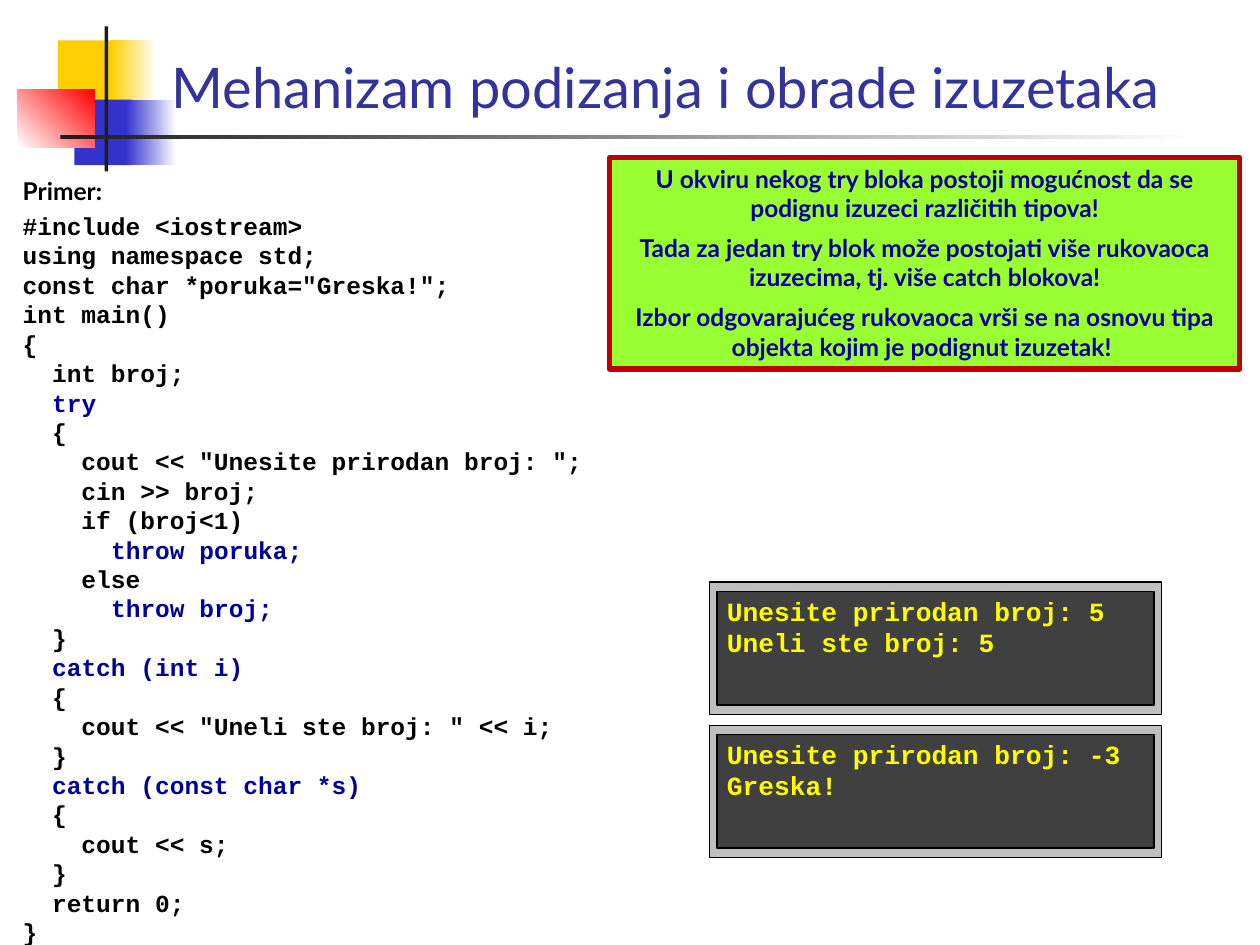
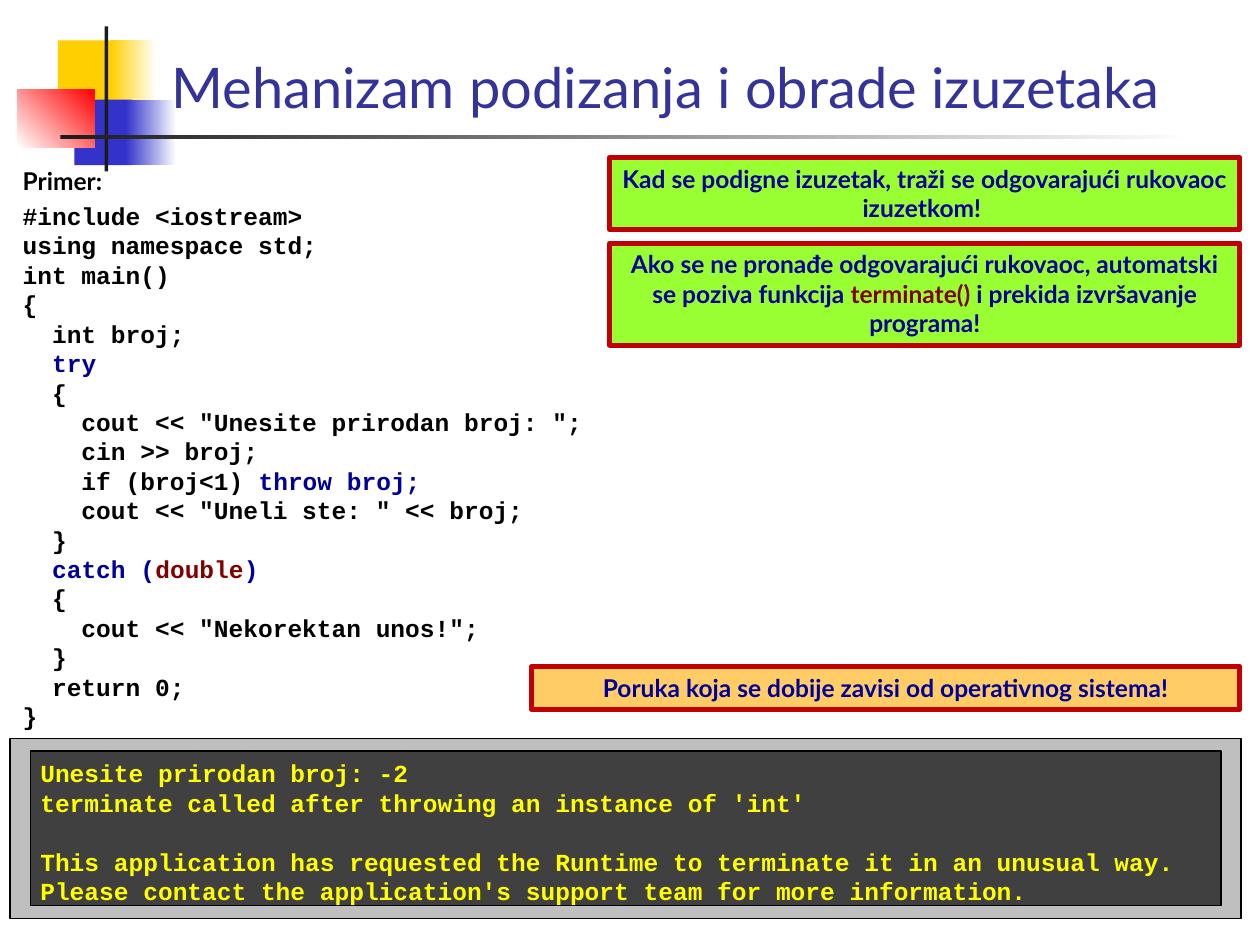
from dataclasses import dataclass

from lxml.etree import SubElement
from pptx import Presentation
from pptx.dml.color import RGBColor
from pptx.enum.shapes import MSO_SHAPE
from pptx.enum.text import MSO_ANCHOR, MSO_AUTO_SIZE, PP_ALIGN
from pptx.oxml.ns import qn
from pptx.util import Inches, Pt


@dataclass(frozen=True)
class Theme:
    sans: str = "Lato"
    mono: str = "Courier New"
    head: int = 32
    body: int = 14
    term: int = 15
    title: str = "333399"
    ink: str = "000000"
    key: str = "000099"
    alert: str = "800000"
    white: str = "FFFFFF"
    gold: str = "FFCF01"
    blue: str = "3333CC"
    red: str = "FF0000"
    dark: str = "1C1C1C"
    lime: str = "99FF33"
    peach: str = "FFCC66"
    rim: str = "C00000"
    frame: str = "BFBFBF"
    screen: str = "404040"
    glow: str = "FFFF00"


T = Theme()
TITLE = "Mehanizam podizanja i obrade izuzetaka"
# A bar in a line of text starts the next colour of its row.
CODE_HUES = (T.ink, T.key, T.alert, T.key)
NOTE_HUES = (T.key, T.alert, T.key)

CODE_MANY = """#include <iostream>
using namespace std;
const char *poruka="Greska!";
int main()
{
  int broj;
  |try
  {
    cout << "Unesite prirodan broj: ";
    cin >> broj;
    if (broj<1)
      |throw poruka;
    else
      |throw broj;
  }
  |catch (int i)
  {
    cout << "Uneli ste broj: " << i;
  }
  |catch (const char *s)
  {
    cout << s;
  }
  return 0;
}""".splitlines()

CODE_NONE = """#include <iostream>
using namespace std;
int main()
{
  int broj;
  |try
  {
    cout << "Unesite prirodan broj: ";
    cin >> broj;
    if (broj<1) |throw broj;
    cout << "Uneli ste: " << broj;
  }
  |catch (|double|)
  {
    cout << "Nekorektan unos!";
  }
  return 0;
}""".splitlines()


def rgb(code):
    return RGBColor.from_string(code)


def put(shape, box):
    shape.left, shape.top, shape.width, shape.height = map(Inches, box)


def rect(shapes, box, fill, line=None, width=0):
    shape = shapes.add_shape(MSO_SHAPE.RECTANGLE, *map(Inches, box))
    shape.shadow.inherit = False
    shape.fill.solid()
    shape.fill.fore_color.rgb = rgb(fill)
    if line:
        shape.line.color.rgb = rgb(line)
        shape.line.width = Pt(width)
    else:
        shape.line.fill.background()
    return shape


def fade(shapes, box, start, end, angle=0):
    fill = rect(shapes, box, start).fill
    fill.gradient()
    fill.gradient_angle = angle
    for stop, code in zip(fill.gradient_stops, (start, end)):
        stop.color.rgb = rgb(code)


def setup(frame, anchor=MSO_ANCHOR.TOP):
    frame.word_wrap = True
    frame.auto_size = MSO_AUTO_SIZE.NONE
    frame.vertical_anchor = anchor


def write(para, text, hues, font, size, bold=True, align=PP_ALIGN.LEFT, before=0):
    para.alignment = align
    para.space_before = Pt(before)
    for part, hue in zip(text.split("|"), hues):
        run = para.add_run()
        run.text = part
        run.font.name, run.font.size, run.font.bold = font, Pt(size), bold
        run.font.color.rgb = rgb(hue)


def paras(frame, count):
    """Yield the first paragraph of the frame, then new ones."""
    yield frame.paragraphs[0]
    for _ in range(count - 1):
        yield frame.add_paragraph()


def emblem(slide):
    """Draw the shared corner and rule, then move them to the layout."""
    shapes = slide.shapes
    old = len(shapes)
    rect(shapes, (0.46, 0.32, 0.48, 0.52), T.gold)
    fade(shapes, (0.88, 0.32, 0.36, 0.52), T.gold, T.white)
    rect(shapes, (0.59, 0.79, 0.46, 0.52), T.blue)
    fade(shapes, (1, 0.79, 0.4, 0.52), T.blue, T.white)
    fade(shapes, (0.14, 0.71, 0.61, 0.46), T.white, T.red, 45)
    rect(shapes, (0.83, 0.21, 0.03, 1.15), T.dark)
    fade(shapes, (0.48, 1.07, 9, 0.03), T.dark, T.white)
    tree = slide.slide_layout.shapes.element
    for spot, shape in enumerate(list(shapes)[old:]):
        shape.element.nvSpPr.cNvPr.set("id", str(100 + spot))
        tree.insert(2 + spot, shape.element)


def header(slide):
    title = slide.shapes.title
    put(title, (1.26, 0.13, 8.74, 0.87))
    setup(title.text_frame, MSO_ANCHOR.BOTTOM)
    write(title.text_frame.paragraphs[0], TITLE, [T.title], T.sans, T.head, False)


def listing(slide, top, code):
    body = slide.placeholders[1]
    put(body, (0.08, top, 5, 5.78))
    setup(body.text_frame)
    lines = ["Primer:", *code]
    for row, para in enumerate(paras(body.text_frame, len(lines))):
        font = T.mono if row else T.sans
        write(para, lines[row], CODE_HUES, font, T.body, before=3 if row == 1 else 0)
        props = para._p.get_or_add_pPr()
        props.set("marL", str(Inches(0.38)))
        props.set("indent", str(-Inches(0.38)))
        SubElement(props, qn("a:buNone"))


def note(slide, box, texts, fill=T.lime):
    frame = rect(slide.shapes, box, fill, T.rim, 3).text_frame
    setup(frame)
    for row, para in enumerate(paras(frame, len(texts))):
        write(para, texts[row], NOTE_HUES, T.sans, T.body,
              align=PP_ALIGN.CENTER, before=6 if row else 0)


def console(slide, box, pad, lines, size, shift, gap=None):
    """Draw a framed screen; gap is the row that stands one line lower."""
    left, top, wide, high = box
    across, down = pad
    group = slide.shapes.add_group_shape().shapes
    rect(group, box, T.frame, T.ink)
    inner = (left + across, top + down, wide - 2 * across, high - 2 * down)
    rect(group, inner, T.screen, T.ink)
    area = (inner[0] + 0.08, inner[1] + shift, inner[2] - 0.14, inner[3])
    frame = slide.shapes.add_textbox(*map(Inches, area)).text_frame
    setup(frame)
    frame.margin_left = frame.margin_right = 0
    for row, para in enumerate(paras(frame, len(lines))):
        write(para, lines[row], [T.glow], T.mono, size,
              before=size * 1.2 if row == gap else 0)


def many(slide):
    """Several handlers for one try block."""
    header(slide)
    note(slide, (4.84, 1.25, 5, 1.68), [
        "U okviru nekog try bloka postoji mogućnost da se podignu izuzeci "
        "različitih tipova!",
        "Tada za jedan try blok može postojati više rukovaoca izuzecima, "
        "tj. više catch blokova!",
        "Izbor odgovarajućeg rukovaoca vrši se na osnovu tipa objekta kojim "
        "je podignut izuzetak! ",
    ])
    listing(slide, 1.35, CODE_MANY)
    runs = (("5", "Uneli ste broj: 5"), ("-3", "Greska!"))
    for row, (value, reply) in enumerate(runs):
        console(slide, (5.63, 4.62 + 1.135 * row, 3.59, 1.05), (0.06, 0.075),
                [f"Unesite prirodan broj: {value}", reply], T.term, -0.02)


def stray(slide):
    """An exception that no handler takes."""
    header(slide)
    note(slide, (4.84, 1.25, 5, 0.57), [
        "Kad se podigne izuzetak, traži se odgovarajući rukovaoc izuzetkom! "])
    note(slide, (4.84, 1.93, 5, 0.81), [
        "Ako se ne pronađe odgovarajući rukovaoc, automatski se poziva "
        "funkcija |terminate() |i prekida izvršavanje programa!"])
    listing(slide, 1.27, CODE_NONE)
    console(slide, (0.08, 5.86, 9.77, 1.43), (0.16, 0.1), [
        "Unesite prirodan broj: -2",
        "terminate called after throwing an instance of 'int'",
        "This application has requested the Runtime to terminate it in an "
        "unusual way.",
        "Please contact the application's support team for more information.",
    ], T.body, 0.01, gap=2)
    note(slide, (4.22, 5.29, 5.62, 0.34), [
        "Poruka koja se dobije zavisi od operativnog sistema!"], T.peach)


def main():
    deck = Presentation()
    deck.slide_width, deck.slide_height = Inches(10), Inches(7.5)
    layout = deck.slide_layouts[1]
    first, second = (deck.slides.add_slide(layout) for _ in range(2))
    emblem(first)
    many(first)
    stray(second)
    deck.save("out.pptx")


if __name__ == "__main__":
    main()
